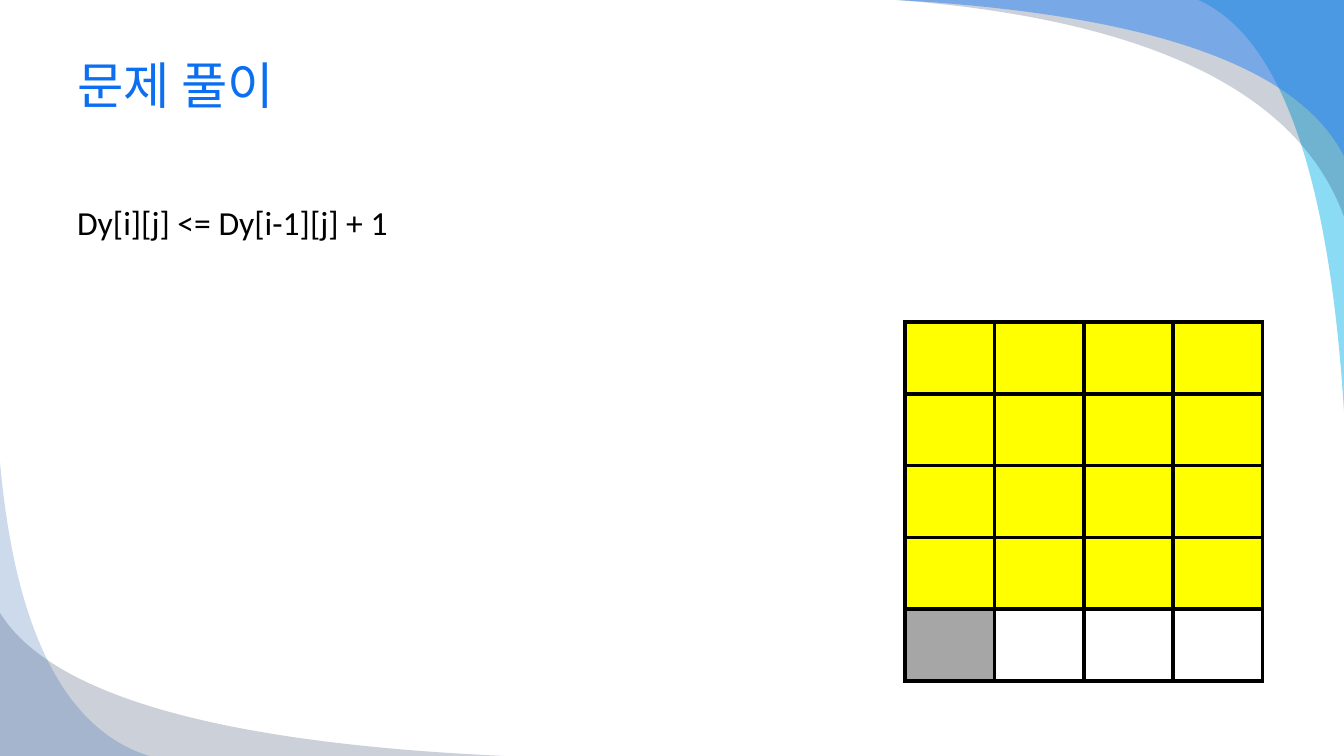
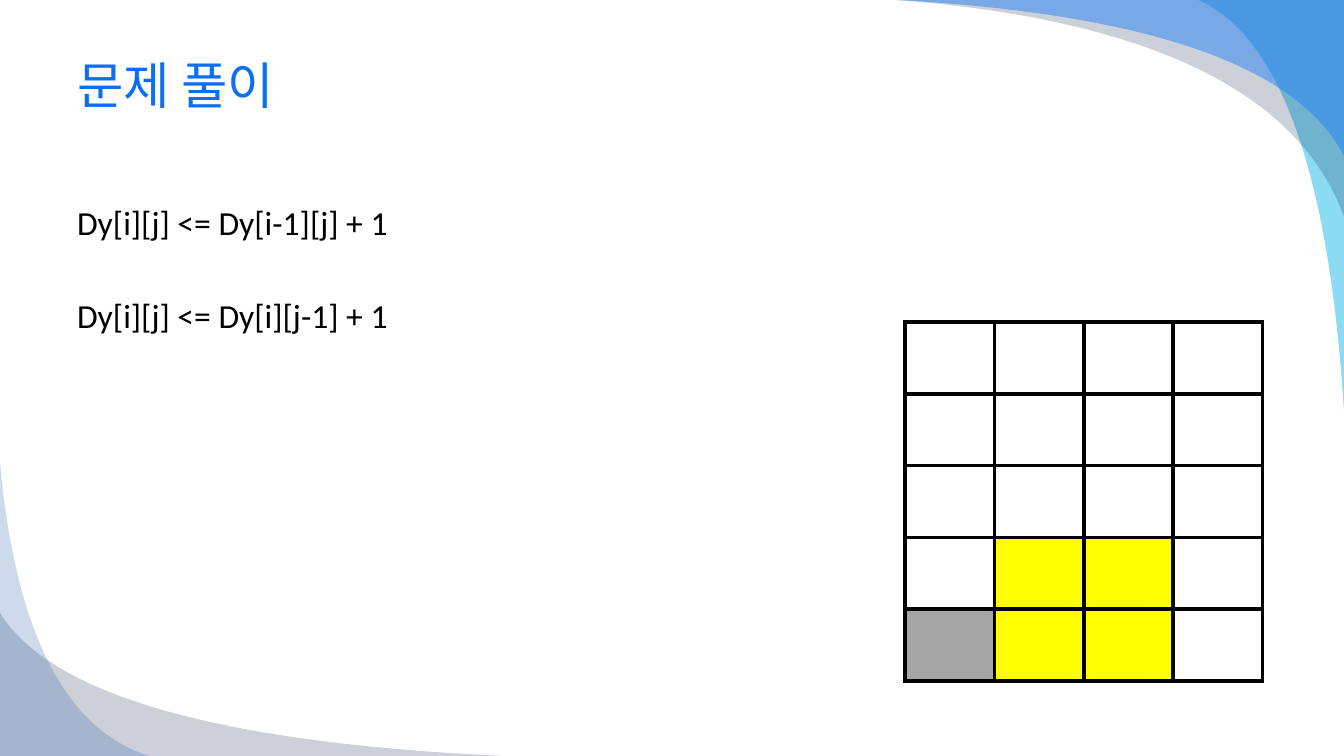
import dataclasses

import lxml.etree
import pptx
import pptx.dml.color
import pptx.enum.text
import pptx.oxml
import pptx.oxml.ns
import pptx.util


@dataclasses.dataclass(frozen=True)
class Theme:
    font: str = "Calibri"
    title_size: int = 36
    body_size: int = 24
    body_gap: int = 38
    border_width: int = 3
    title: str = "0C6FF2"
    body: str = "000000"
    border: str = "000000"
    cyan: str = "00B1E9"
    navy: str = "021741"
    azure: str = "247FF4"
    blue: str = "084AA1"
    cells: tuple = (("Y", "FFFF00"), ("G", "A6A6A6"), ("W", "FFFFFF"))


THEME = Theme()

# (start, tip, colour, opacity): points are percentages of the slide
WAVES = (
    ((89.17, 0), (100, 54.4), THEME.cyan, 45),
    ((66.67, 0), (100, 28.67), THEME.navy, 20),
    ((66.67, 0), (100, 20.67), THEME.azure, 49),
    ((37.5, 100), (0, 81.07), THEME.navy, 20),
    ((11.1, 100), (0, 61.07), THEME.blue, 20),
)
WAVE_CONTROLS = ((0, 0), (0.57, 0.09), (0.9, 0.43), (1, 1))
WAVE_STEPS = 48


def color(value):
    return pptx.dml.color.RGBColor.from_string(value)


def wave_point(step):
    t = step / WAVE_STEPS
    weights = ((1 - t) ** 3, 3 * t * (1 - t) ** 2, 3 * t * t * (1 - t), t ** 3)
    return [
        sum(weight * control[axis] for weight, control in zip(weights, WAVE_CONTROLS))
        for axis in (0, 1)
    ]


class SlideBuilder:
    def __init__(self, theme):
        self.theme = theme
        self.deck = pptx.Presentation()
        self.deck.slide_width = pptx.util.Inches(13.33)
        self.deck.slide_height = pptx.util.Inches(7.5)
        self.slide = None

    def x(self, percent):
        return round(self.deck.slide_width * percent / 100)

    def y(self, percent):
        return round(self.deck.slide_height * percent / 100)

    def area(self, left, top, width, height):
        return self.x(left), self.y(top), self.x(width), self.y(height)

    def start_slide(self):
        self.slide = self.deck.slides.add_slide(self.deck.slide_layouts[6])
        for wave in WAVES:
            self.wave(*wave)

    def wave(self, start, tip, fill, opacity):
        left, top = start
        span_x, span_y = tip[0] - left, tip[1] - top
        points = [wave_point(step) for step in range(WAVE_STEPS + 1)] + [(1, 0)]
        outline = [
            (self.x(left + u * span_x), self.y(top + v * span_y)) for u, v in points
        ]
        builder = self.slide.shapes.build_freeform(*outline[0], scale=1.0)
        builder.add_line_segments(outline[1:], close=True)
        shape = builder.convert_to_shape()
        shape.shadow.inherit = False
        shape.line.fill.background()
        shape.fill.solid()
        shape.fill.fore_color.rgb = color(fill)
        tone = shape.fill._xPr.find(".//" + pptx.oxml.ns.qn("a:srgbClr"))
        alpha = lxml.etree.SubElement(tone, pptx.oxml.ns.qn("a:alpha"))
        alpha.set("val", str(opacity * 1000))

    def text(self, lines, area, size, ink, anchor, gap=0):
        box = self.slide.shapes.add_textbox(*self.area(*area))
        frame = box.text_frame
        frame.word_wrap = True
        frame.vertical_anchor = anchor
        for index, line in enumerate(lines):
            para = frame.add_paragraph() if index else frame.paragraphs[0]
            if index:
                para.space_before = pptx.util.Pt(gap)
            span = para.add_run()
            span.text = line
            span.font.name = self.theme.font
            span.font.size = pptx.util.Pt(size)
            span.font.color.rgb = color(ink)

    def title(self, words):
        anchor = pptx.enum.text.MSO_ANCHOR.MIDDLE
        self.text([words], (5, 4.4, 90, 13.5),
                  self.theme.title_size, self.theme.title, anchor)

    def body(self, lines):
        anchor = pptx.enum.text.MSO_ANCHOR.TOP
        self.text(lines, (5, 26, 90, 66),
                  self.theme.body_size, self.theme.body, anchor, self.theme.body_gap)

    def grid(self, pattern):
        fills = dict(self.theme.cells)
        frame = self.slide.shapes.add_table(
            len(pattern), len(pattern[0]), *self.area(67.35, 42.6, 26.6, 47.5))
        table = frame.table
        table.first_row = table.horz_banding = False
        for row, marks in enumerate(pattern):
            for column, mark in enumerate(marks):
                cell = table.cell(row, column)
                cell.fill.solid()
                cell.fill.fore_color.rgb = color(fills[mark])
                self.borders(cell)

    def borders(self, cell):
        properties = cell._tc.get_or_add_tcPr()
        width = pptx.util.Pt(self.theme.border_width)
        for index, side in enumerate("LRTB"):
            properties.insert(index, pptx.oxml.parse_xml(
                f'<a:ln{side} {pptx.oxml.ns.nsdecls("a")} w="{width}"><a:solidFill>'
                f'<a:srgbClr val="{self.theme.border}"/></a:solidFill></a:ln{side}>'))


def main():
    builder = SlideBuilder(THEME)
    steps = ("Dy[i][j] <= Dy[i-1][j] + 1", "Dy[i][j] <= Dy[i][j-1] + 1")
    patterns = (
        ("YYYY", "YYYY", "YYYY", "YYYY", "GWWW"),
        ("WWWW", "WWWW", "WWWW", "WYYW", "GYYW"),
    )
    for count, pattern in enumerate(patterns, start=1):
        builder.start_slide()
        builder.title("문제 풀이")
        builder.body(steps[:count])
        builder.grid(pattern)
    builder.deck.save("out.pptx")


if __name__ == "__main__":
    main()
